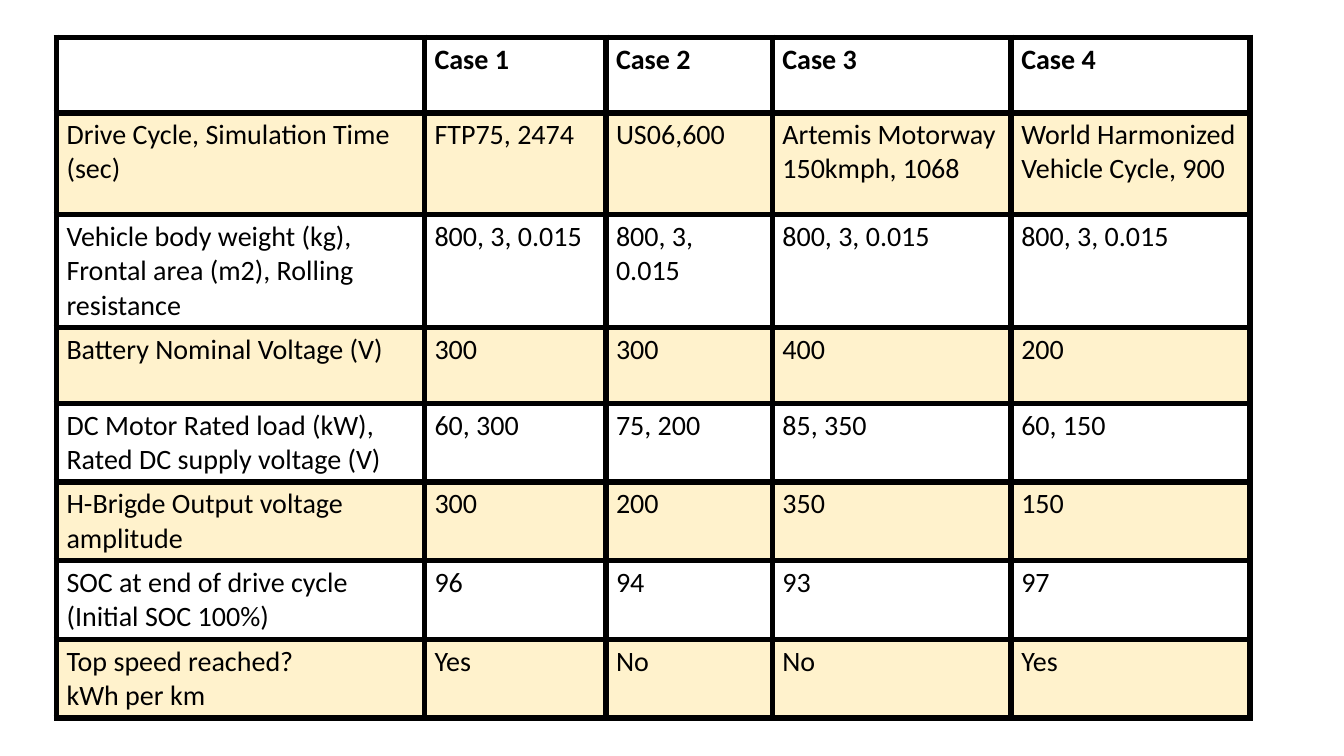
"""Build a slide with a table comparing four vehicle simulation cases."""
from lxml import etree
from pptx import Presentation
from pptx import util as u
from pptx.dml.color import RGBColor
from pptx.oxml import ns

BLACK = RGBColor(0x00, 0x00, 0x00)
AMBER = RGBColor(0xFF, 0xC0, 0x00)
BAND_OPACITY = 20
FONT = "Calibri"
TEXT_SIZE = u.Pt(20)
BORDER_WIDTH = u.Pt(4.5)
LEFT, TOP = 0.56, 0.37
COLUMNS = [3.65, 1.8, 1.65, 2.37, 2.37]
SHORT_ROW, TALL_ROW = 0.75, 1.01
TALL_ROWS = (1, 2)
CASES = [
    ["", "Case 1", "Case 2", "Case 3", "Case 4"],
    ["Drive Cycle, Simulation Time (sec)", "FTP75, 2474", "US06,600",
     "Artemis Motorway 150kmph, 1068", "World Harmonized Vehicle Cycle, 900"],
    ["Vehicle body weight (kg), Frontal area (m2), Rolling resistance"]
    + ["800, 3, 0.015"] * 4,
    ["Battery Nominal Voltage (V)", "300", "300", "400", "200"],
    ["DC Motor Rated load (kW), Rated DC supply voltage (V)",
     "60, 300", "75, 200", "85, 350", "60, 150"],
    ["H-Brigde Output voltage amplitude", "300", "200", "350", "150"],
    ["SOC at end of drive cycle (Initial SOC 100%)", "96", "94", "93", "97"],
    ["Top speed reached? \vkWh per km", "Yes", "No", "No", "Yes"],
]


def add_element(parent, tag, **attributes):
    """Append a DrawingML child element and return it."""
    return etree.SubElement(parent, ns.qn(tag), **attributes)


def set_borders(cell):
    """Draw a solid black line on all four sides of a cell."""
    properties = cell._tc.get_or_add_tcPr()
    for side in "LRTB":
        line = add_element(properties, f"a:ln{side}", w=str(BORDER_WIDTH))
        fill = add_element(line, "a:solidFill")
        add_element(fill, "a:srgbClr", val=str(BLACK))


def set_band(cell, banded):
    """Tint a banded cell with translucent amber and clear the others."""
    if not banded:
        cell.fill.background()
        return
    cell.fill.solid()
    cell.fill.fore_color.rgb = AMBER
    color = cell._tc.tcPr.find(ns.qn("a:solidFill")).find(ns.qn("a:srgbClr"))
    add_element(color, "a:alpha", val=str(BAND_OPACITY * 1000))


def set_text(cell, words, bold):
    """Write the words of a cell in the table's font."""
    cell.text_frame.text = words
    for para in cell.text_frame.paragraphs:
        para.font.size = TEXT_SIZE
        for span in para.runs:
            span.font.name = FONT
            span.font.size = TEXT_SIZE
            span.font.bold = bold
            span.font.color.rgb = BLACK


def add_case_table(page):
    """Add the case table with a bold header and alternate tinted rows."""
    heights = [TALL_ROW if index in TALL_ROWS else SHORT_ROW
               for index in range(len(CASES))]
    area = [u.Inches(length) for length in (LEFT, TOP, sum(COLUMNS), sum(heights))]
    table = page.shapes.add_table(len(CASES), len(COLUMNS), *area).table
    table.first_row = table.horz_banding = False
    for column, width in zip(table.columns, COLUMNS):
        column.width = u.Inches(width)
    for index, (row, height, values) in enumerate(zip(table.rows, heights, CASES)):
        row.height = u.Inches(height)
        for cell, words in zip(row.cells, values):
            set_borders(cell)
            set_band(cell, banded=index % 2 == 1)
            set_text(cell, words, bold=index == 0)


def main():
    """Create the deck and save it."""
    deck = Presentation()
    deck.slide_width, deck.slide_height = u.Inches(13.33), u.Inches(7.5)
    page = deck.slides.add_slide(deck.slide_layouts[6])
    add_case_table(page)
    deck.save("out.pptx")


if __name__ == "__main__":
    main()
